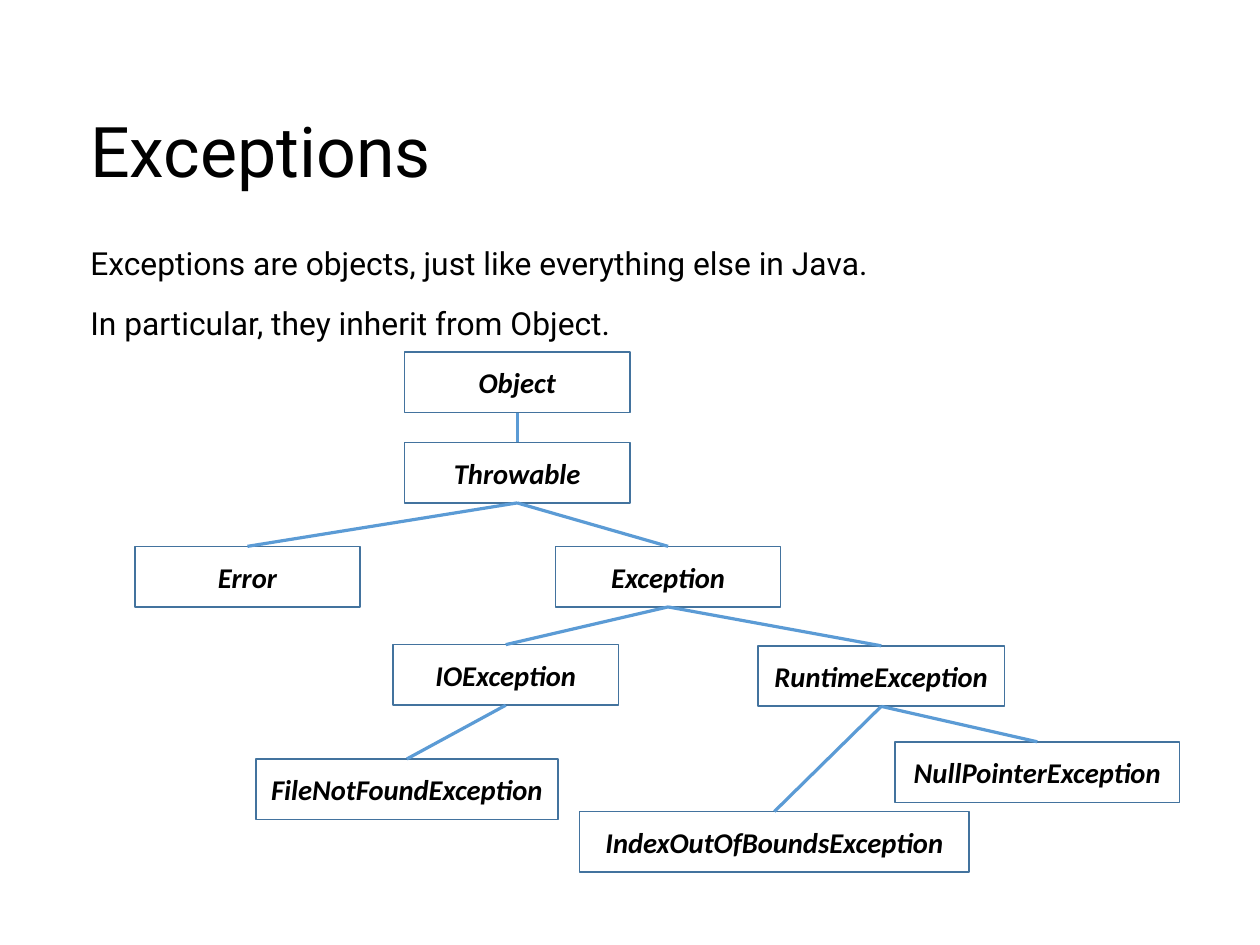
from pptx import Presentation
from pptx.dml.color import RGBColor
from pptx.enum.shapes import MSO_CONNECTOR, MSO_SHAPE
from pptx.enum.text import MSO_ANCHOR, PP_ALIGN
from pptx.oxml.ns import qn
from pptx.util import Inches, Pt
from lxml.etree import SubElement

COLORS = {"text": "000000", "border": "43739E", "link": "5B9BD5"}
CM_PER_INCH = 2.54
BOX_H = 0.53
TOP, BOTTOM = 0, 2  # connection sites of a rectangle

# Class name: (left, top, width, parent)
CLASSES = {
    "Object": (3.54, 3.08, 1.97, None),
    "Throwable": (3.54, 3.87, 1.97, "Object"),
    "Error": (1.18, 4.78, 1.97, "Throwable"),
    "Exception": (4.86, 4.78, 1.97, "Throwable"),
    "IOException": (3.44, 5.64, 1.97, "Exception"),
    "RuntimeException": (6.63, 5.65, 2.16, "Exception"),
    "FileNotFoundException": (2.24, 6.64, 2.64, "IOException"),
    "IndexOutOfBoundsException": (5.07, 7.1, 3.41, "RuntimeException"),
    "NullPointerException": (7.83, 6.49, 2.49, "RuntimeException"),
}


def color(name):
    return RGBColor.from_string(COLORS[name])


def add_text(p, text, font="Roboto", size=20, bold=False, italic=False,
             align=PP_ALIGN.LEFT, after=0):
    p.alignment = align
    p.space_after = Pt(after)
    r = p.add_run()
    r.text = text
    r.font.name = font
    r.font.size = Pt(size)
    r.font.bold = bold
    r.font.italic = italic
    r.font.color.rgb = color("text")


class Deck:
    def __init__(self, width, height):
        self.prs = Presentation()
        self.prs.slide_width = Inches(width)
        self.prs.slide_height = Inches(height)
        self.s = self.prs.slides.add_slide(self.prs.slide_layouts[6])

    def text(self, lines, left, top, width, height,
             anchor=MSO_ANCHOR.TOP, **fmt):
        sp = self.s.shapes.add_textbox(
            Inches(left), Inches(top), Inches(width), Inches(height))
        tf = sp.text_frame
        tf.word_wrap = True
        tf.vertical_anchor = anchor
        tf.margin_left = tf.margin_right = 0
        tf.margin_top = tf.margin_bottom = 0
        for i, line in enumerate(lines):
            p = tf.add_paragraph() if i else tf.paragraphs[0]
            add_text(p, line, **fmt)

    def box(self, name, left, top, width):
        sp = self.s.shapes.add_shape(
            MSO_SHAPE.RECTANGLE,
            Inches(left), Inches(top), Inches(width), Inches(BOX_H))
        sp.shadow.inherit = False
        sp.fill.background()
        sp.line.color.rgb = color("border")
        sp.line.width = Pt(1)
        tf = sp.text_frame
        tf.word_wrap = True
        tf.vertical_anchor = MSO_ANCHOR.MIDDLE
        add_text(tf.paragraphs[0], name, font="Calibri", size=18,
                 bold=True, italic=True, align=PP_ALIGN.CENTER)
        return sp

    def link(self, parent, child):
        c = self.s.shapes.add_connector(MSO_CONNECTOR.STRAIGHT, 0, 0, 0, 0)
        c.begin_connect(parent, BOTTOM)
        c.end_connect(child, TOP)
        c.line.color.rgb = color("link")
        c.line.width = Pt(2)
        SubElement(c._element.spPr, qn("a:effectLst"))


def main():
    # The page is 28 by 21 cm
    deck = Deck(28 / CM_PER_INCH, 21 / CM_PER_INCH)

    # Title and body
    deck.text(["Exceptions"], 0.79, 0.75, 9.25, 1.12,
              anchor=MSO_ANCHOR.MIDDLE, size=44)
    deck.text(["Exceptions are objects, just like everything else in Java.",
               "In particular, they inherit from Object."],
              0.79, 2.13, 9.68, 5.21, after=14.2)

    # Class tree: boxes, then a link from each parent
    boxes = {name: deck.box(name, left, top, width)
             for name, (left, top, width, _) in CLASSES.items()}
    for name, (*_, parent) in CLASSES.items():
        if parent:
            deck.link(boxes[parent], boxes[name])

    deck.prs.save("out.pptx")


if __name__ == "__main__":
    main()
